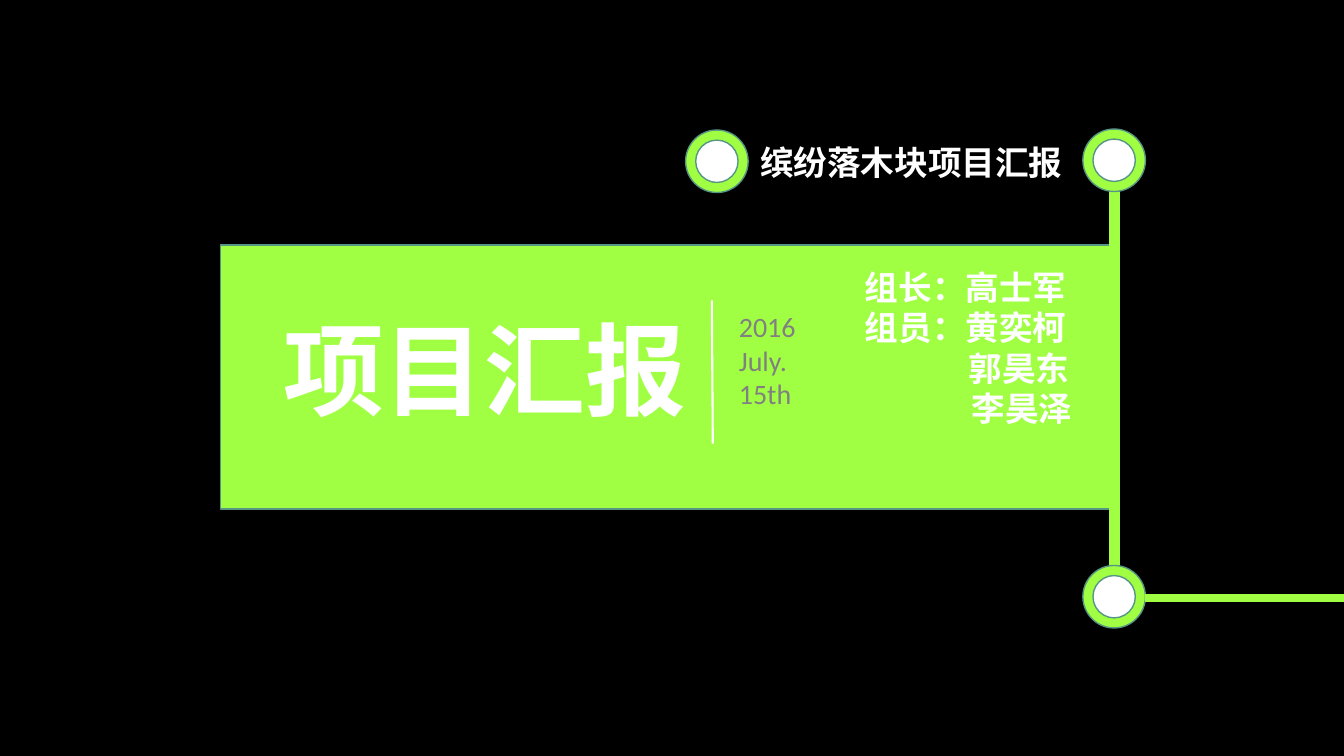
from lxml import etree
from pptx import Presentation
from pptx.dml.color import RGBColor
from pptx.enum.shapes import MSO_CONNECTOR, MSO_SHAPE
from pptx.oxml.ns import qn
from pptx.util import Inches, Pt

BLACK = RGBColor(0x00, 0x00, 0x00)
WHITE = RGBColor(0xFF, 0xFF, 0xFF)
LIME = RGBColor(0xA1, 0xFF, 0x43)
TEAL = RGBColor(0x55, 0x96, 0x84)
GRAY = RGBColor(0x80, 0x80, 0x80)
RECTANGLE, OVAL = MSO_SHAPE.RECTANGLE, MSO_SHAPE.OVAL
STRAIGHT = MSO_CONNECTOR.STRAIGHT
FONT = "Calibri"
NODE_SIZE, NODE_RING = 0.62, 0.1


def add_solid(slide, kind, left, top, width, height, fill, outline):
    solid = slide.shapes.add_shape(
        kind, Inches(left), Inches(top), Inches(width), Inches(height))
    solid.shadow.inherit = False
    solid.fill.solid()
    solid.fill.fore_color.rgb = fill
    solid.line.color.rgb = outline
    solid.line.width = Pt(1)


def add_label(slide, left, top, width, height, lines, size, color, bold=True):
    """Each line is a pair of its text and its left indent in inches."""
    label = slide.shapes.add_textbox(
        Inches(left), Inches(top), Inches(width), Inches(height))
    frame = label.text_frame
    frame.word_wrap = True
    frame.text = "\n".join(text for text, _ in lines)
    for paragraph, (_, indent) in zip(frame.paragraphs, lines):
        if indent:
            paragraph._p.get_or_add_pPr().set("marL", str(Inches(indent)))
        font = paragraph.runs[0].font
        font.name, font.size, font.bold = FONT, Pt(size), bold
        font.color.rgb = color


def add_node(slide, left, top):
    core = NODE_SIZE - 2 * NODE_RING
    add_solid(slide, OVAL, left, top, NODE_SIZE, NODE_SIZE, LIME, TEAL)
    add_solid(slide, OVAL, left + NODE_RING, top + NODE_RING, core, core, WHITE, TEAL)


def add_divider(slide, left, top, height):
    divider = slide.shapes.add_connector(
        STRAIGHT, Inches(left), Inches(top), Inches(left + 0.01), Inches(top + height))
    divider.line.color.rgb = WHITE
    divider.line.width = Pt(1.5)
    etree.SubElement(divider._element.spPr, qn("a:effectLst"))


def add_banner(slide, left, top, width, height):
    add_solid(slide, RECTANGLE, left, top, width, height, LIME, TEAL)
    add_label(slide, left + 0.52, top + 0.57, 4.85, 1.31, [("项目汇报", 0)], 72, WHITE)
    add_divider(slide, left + 4.87, top + 0.55, 1.42)
    date = [("2016", 0), ("July.", 0), ("15th", 0)]
    add_label(slide, left + 5.04, top + 0.59, 0.97, 1.11, date, 20, GRAY, bold=False)
    team = [("组长：高士军", 0), ("组员：黄奕柯", 0), ("郭昊东", 1.03), ("李昊泽", 1.06)]
    add_label(slide, left + 6.29, top + 0.17, 2.36, 1.72, team, 24, WHITE)


def add_track(slide, left, top, right, bottom):
    """Nodes at both ends of the top row and at the lower turn, joined by bars."""
    turn = right - NODE_SIZE
    add_node(slide, left, top + 0.01)
    add_label(slide, left + 0.64, top + 0.08, 3.28, 0.5, [("缤纷落木块项目汇报", 0)], 24, WHITE)
    add_solid(slide, RECTANGLE, turn + 0.27, top + NODE_SIZE, 0.09,
              bottom - top - 2 * NODE_SIZE, LIME, LIME)
    for node_top in (top, bottom - NODE_SIZE):
        add_node(slide, turn, node_top)
    # Bar running off to the right edge
    add_solid(slide, RECTANGLE, right, bottom - 0.33, 13.33 - right, 0.07, LIME, LIME)


def main():
    prs = Presentation()
    prs.slide_width, prs.slide_height = Inches(13.33), Inches(7.5)
    cover = prs.slides.add_slide(prs.slide_layouts[6])
    cover.background.fill.solid()
    cover.background.fill.fore_color.rgb = BLACK
    add_banner(cover, 2.19, 2.43, 8.83, 2.62)
    add_track(cover, 6.8, 1.28, 11.36, 6.23)
    prs.save("out.pptx")


if __name__ == "__main__":
    main()
